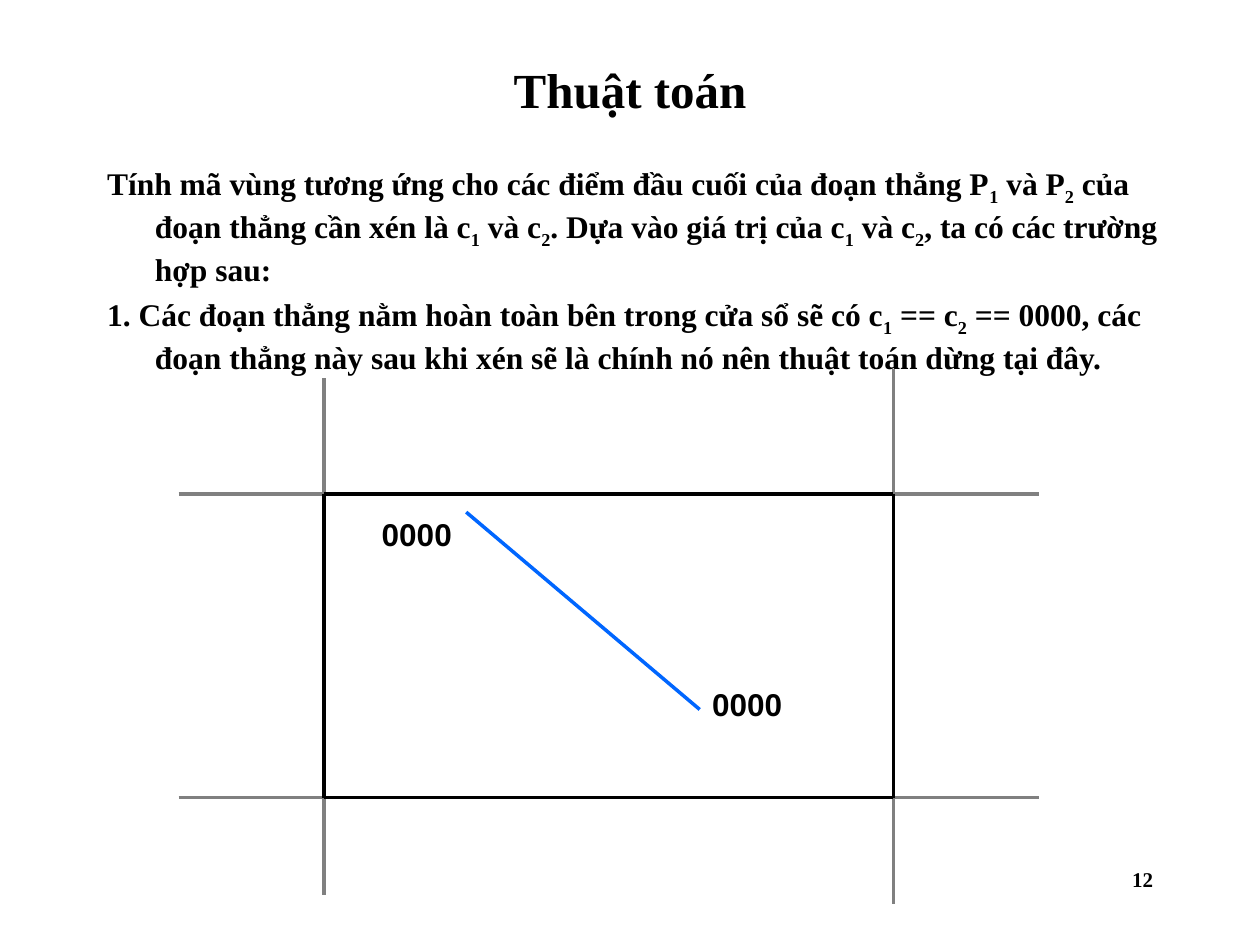
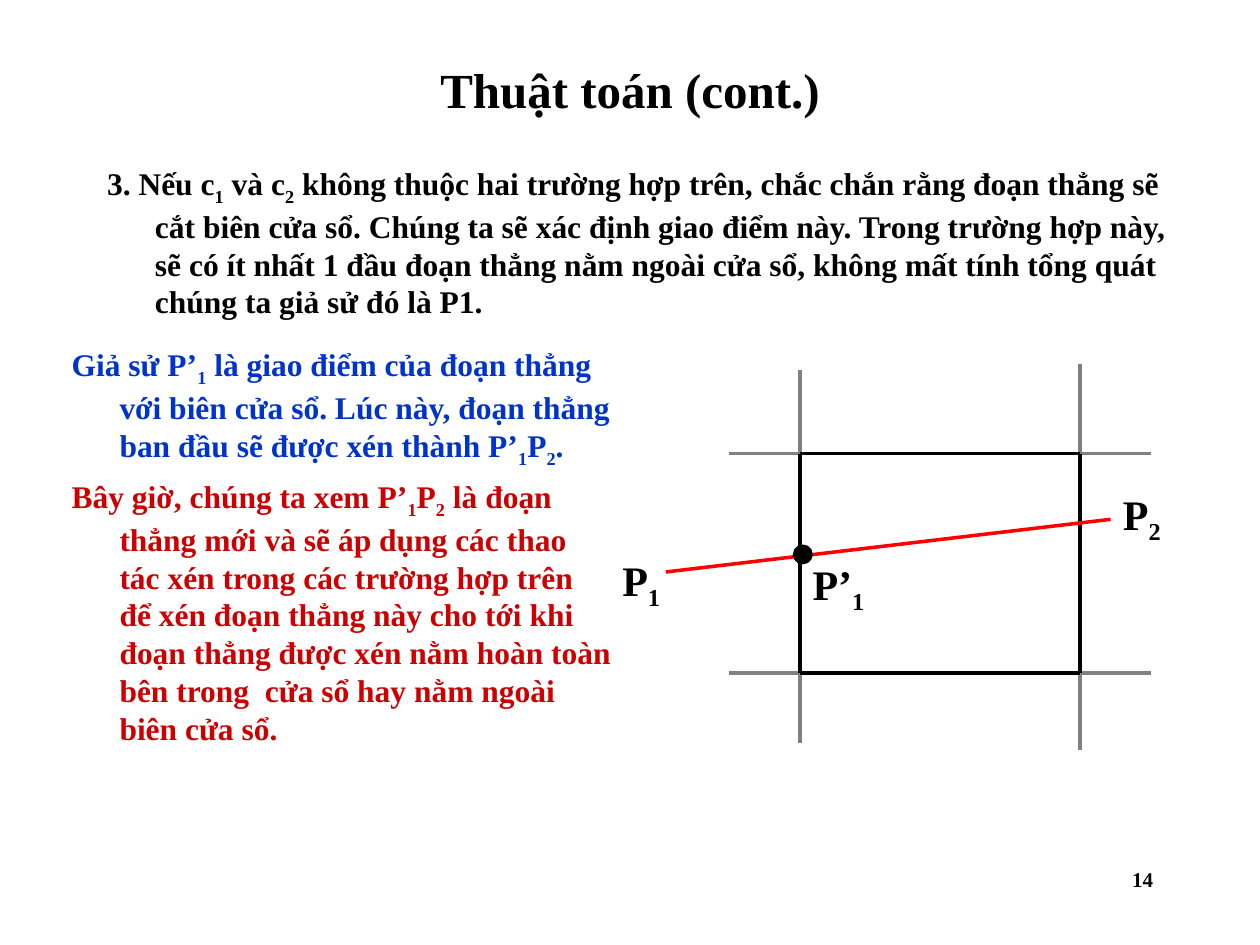
from dataclasses import dataclass

from lxml.etree import SubElement
from pptx import Presentation
from pptx.dml.color import RGBColor
from pptx.enum.shapes import MSO_CONNECTOR as Link, MSO_SHAPE as Preset
from pptx.enum.text import MSO_ANCHOR as Anchor, MSO_AUTO_SIZE as Fit, PP_ALIGN as Align
from pptx.oxml.ns import qn
from pptx.util import Inches, Pt

SLIDE_W, SLIDE_H = Inches(10), Inches(7.5)
COL, ROW = SLIDE_W / 100, SLIDE_H / 75

SERIF, SANS = "Times New Roman", "Arial"
BLACK, GREY, RED, BLUE = "000000", "808080", "FF0000", "0066FF"
NOTE_BLUE, NOTE_RED = "0033CC", "CC0000"
HANGING = Inches(0.38)


@dataclass
class Box:
    """An area in grid columns and rows."""
    left: float
    top: float
    width: float
    height: float

    def at(self, across, down):
        """Grid point at the given shares of the box's width and height."""
        return self.left + across * self.width, self.top + down * self.height

    def emu(self):
        return (round(self.left * COL), round(self.top * ROW),
                round(self.width * COL), round(self.height * ROW))


TITLE = Box(7.5, 3.3, 85, 7.5)
PAGE_NUMBER = Box(71.7, 68.3, 20.8, 5)


def color(hex_code):
    return RGBColor.from_string(hex_code)


def put(shape, box):
    shape.left, shape.top, shape.width, shape.height = box.emu()
    return shape


def write(paragraph, text, size, ink=BLACK, font=SERIF):
    """Add bold runs; the character after each underscore is a subscript."""
    first, *rest = text.split("_")
    pieces = [(first, False)]
    for part in rest:
        pieces += [(part[0], True), (part[1:], False)]
    for piece, lowered in pieces:
        if not piece:
            continue
        run = paragraph.add_run()
        run.text = piece
        run.font.size, run.font.bold, run.font.name = Pt(size), True, font
        run.font.color.rgb = color(ink)
        if lowered:
            run.font._element.set("baseline", "-25000")


def write_hanging(frame, passages):
    """Fill a frame with (text, colour) paragraphs, unbulleted, hanging indent."""
    frame.word_wrap, frame.auto_size = True, Fit.NONE
    for number, (text, ink) in enumerate(passages):
        paragraph = frame.add_paragraph() if number else frame.paragraphs[0]
        paragraph.space_before = Pt(4.5)
        properties = paragraph._p.get_or_add_pPr()
        properties.set("marL", str(HANGING))
        properties.set("indent", str(-HANGING))
        SubElement(properties, qn("a:buNone"))
        write(paragraph, text, 18, ink)


def add_text(slide, box, text, size, font=SERIF, align=Align.LEFT, before=0):
    frame = slide.shapes.add_textbox(*box.emu()).text_frame
    frame.word_wrap = True
    paragraph = frame.paragraphs[0]
    paragraph.alignment, paragraph.space_before = align, Pt(before)
    write(paragraph, text, size, font=font)


def add_line(shapes, start, end, ink):
    ends = [round(value * unit) for point in (start, end)
            for value, unit in zip(point, (COL, ROW))]
    line = shapes.add_connector(Link.STRAIGHT, *ends)
    line.line.color.rgb, line.line.width = color(ink), Pt(2)
    SubElement(line._element.spPr, qn("a:effectLst"))


def add_clip_window(slide, window):
    """Draw the window's sides over the longer region borders they lie on."""
    lines = slide.shapes.add_group_shape().shapes
    borders = [((0, -0.38), (0, 1.32)), ((1, -0.41), (1, 1.35)),
               ((-0.255, 0), (1.255, 0)), ((-0.255, 1), (1.255, 1))]
    sides = [((0, 0), (0, 1)), ((1, 0), (1, 1)),
             ((0, 0), (1, 0)), ((0, 1), (1, 1))]
    for ink, segments in ((GREY, borders), (BLACK, sides)):
        for start, end in segments:
            add_line(lines, window.at(*start), window.at(*end), ink)


def add_algorithm_slide(deck, title, page, steps, steps_box):
    slide = deck.slides.add_slide(deck.slide_layouts[1])
    heading = put(slide.shapes.title, TITLE).text_frame
    heading.vertical_anchor, heading.auto_size = Anchor.MIDDLE, Fit.NONE
    heading.paragraphs[0].alignment = Align.CENTER
    write(heading.paragraphs[0], title, 28)
    body = put(slide.placeholders[1], steps_box)
    write_hanging(body.text_frame, [(step, BLACK) for step in steps])
    add_text(slide, PAGE_NUMBER, page, 12, align=Align.RIGHT)
    return slide


def add_inside_case(slide, window):
    add_clip_window(slide, window)
    add_line(slide.shapes, window.at(0.25, 0.06), window.at(0.66, 0.71), BLUE)
    for corner in ((0.08, 0.05), (0.66, 0.61)):
        add_text(slide, Box(*window.at(*corner), 8, 4), "0000", 18, SANS)


def add_crossing_case(slide, window):
    add_clip_window(slide, window)
    add_line(slide.shapes, window.at(-0.48, 0.54), window.at(1.11, 0.3), RED)
    labels = {"P_1": (-0.68, 0.43), "P_2": (1.11, 0.13), "P’_1": (0, 0.45)}
    for label, corner in labels.items():
        add_text(slide, Box(*window.at(*corner), 7.9, 5.6), label, 24, before=15)

    size = 1.3
    x, y = window.at(0.01, 0.46)
    crossing = slide.shapes.add_shape(
        Preset.OVAL, *Box(x - size / 2, y - size / 2, size, size).emu())
    crossing.shadow.inherit = False
    crossing.fill.solid()
    crossing.fill.fore_color.rgb = crossing.line.color.rgb = color(BLACK)
    crossing.line.width = Pt(2)


def add_notes_column(slide, box, passages):
    write_hanging(slide.shapes.add_textbox(*box.emu()).text_frame, passages)


def main():
    deck = Presentation()
    deck.slide_width, deck.slide_height = SLIDE_W, SLIDE_H

    inside = add_algorithm_slide(deck, "Thuật toán", "12", [
        "Tính mã vùng tương ứng cho các điểm đầu cuối của đoạn thẳng P_1 và P_2 "
        "của đoạn thẳng cần xén là c_1 và c_2. Dựa vào giá trị của c_1 và c_2, "
        "ta có các trường hợp sau:",
        "1. Các đoạn thẳng nằm hoàn toàn bên trong cửa sổ sẽ có c_1 == c_2 == 0000, "
        "các đoạn thẳng này sau khi xén sẽ là chính nó nên thuật toán dừng tại đây.",
    ], Box(7.5, 12.5, 87, 20.7))
    add_inside_case(inside, Box(25.7, 39.2, 45.2, 24.1))

    crossing = add_algorithm_slide(deck, "Thuật toán (cont.)", "14", [
        "3. Nếu c_1 và c_2 không thuộc hai trường hợp trên, chắc chắn rằng đoạn "
        "thẳng sẽ cắt biên cửa sổ. Chúng ta sẽ xác định giao điểm này. Trong trường "
        "hợp này, sẽ có ít nhất 1 đầu đoạn thẳng nằm ngoài cửa sổ, không mất tính "
        "tổng quát chúng ta giả sử đó là P1.",
    ], Box(7.5, 12.5, 87, 14.4))
    add_crossing_case(crossing, Box(63.5, 36, 22.2, 17.4))
    add_notes_column(crossing, Box(4.7, 26.9, 44.9, 42.1), [
        ("Giả sử P’_1 là giao điểm của đoạn thẳng với biên cửa sổ. Lúc này, đoạn "
         "thẳng ban đầu sẽ được xén thành P’_1P_2.", NOTE_BLUE),
        ("Bây giờ, chúng ta xem P’_1P_2 là đoạn thẳng mới và sẽ áp dụng các thao "
         "tác xén trong các trường hợp trên để xén đoạn thẳng này cho tới khi đoạn "
         "thẳng được xén nằm hoàn toàn bên trong  cửa sổ hay nằm ngoài biên cửa sổ.",
         NOTE_RED),
    ])
    deck.save("out.pptx")


if __name__ == "__main__":
    main()
